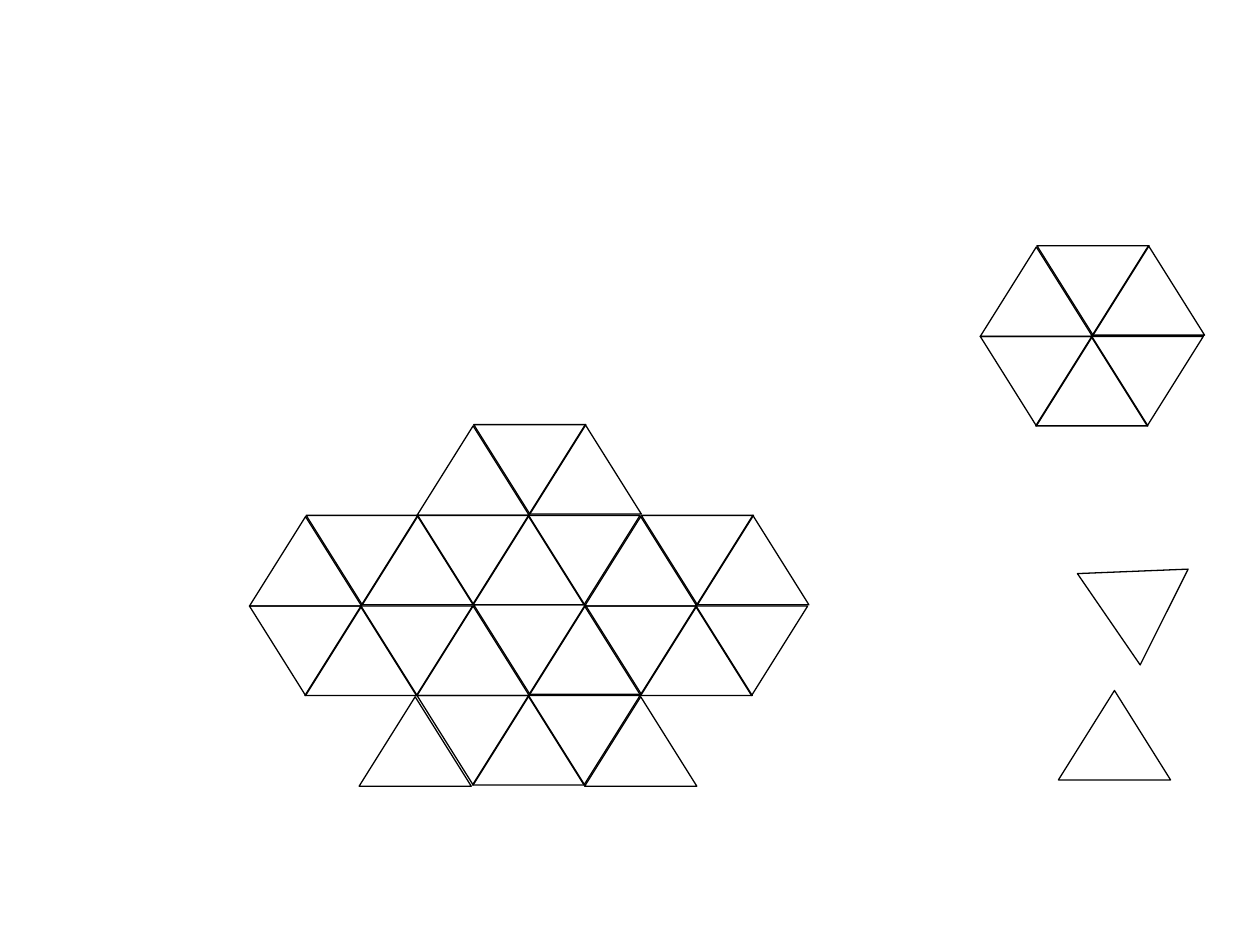
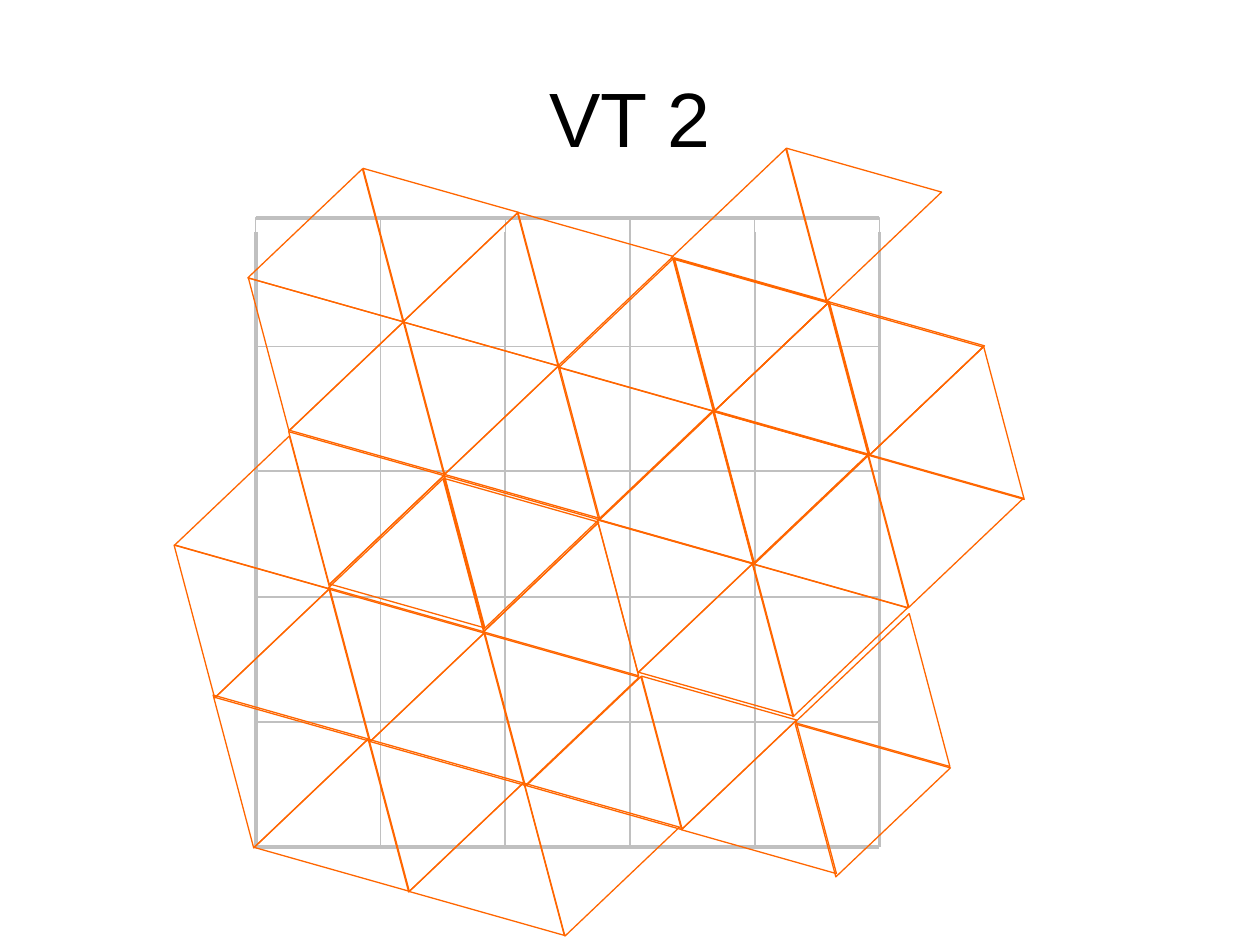
from itertools import pairwise, product

from lxml import etree
from pptx import Presentation
from pptx.dml.color import RGBColor
from pptx.enum import shapes, text
from pptx.oxml import ns
from pptx.util import Pt

# Shared scale and styles
PX = 9144  # 100 px to the inch
BLACK, GREY, ORANGE = "000000", "C0C0C0", "FF6600"
FONT = "Arial"
THIN, MEDIUM, THICK = 0.75, 1, 2.25
FLIP = 180

# Slide 1: hexagons of six triangles (x, y, rotation within a hexagon)
TILE = (89, 71)
HEXAGON = [(45, 0, FLIP), (0, 1, 0), (89, 0, 0),
           (44, 72, 0), (88, 72, FLIP), (0, 72, FLIP)]
HEXAGON_CLUSTERS = [
    [(778, 195)],
    [(331, 337), (331, 480), (198, 409)],
    [(464, 409)],
]
LOOSE_TILES = [(840, 548), (285, 553), (464, 553)]

# Slide 2: grid edges and tilted strips (x, y, first tile flipped, tiles)
COLUMN_EDGES = [203 + 99 * column for column in range(6)]
ROW_EDGES = [173, 275, 374, 474, 573, 672]
OPEN_CELL = (2, 2)
VERTICAL_TOP = 184
TILTED_TILE = (128, 108)
TILT = 15.8
STRIP_STEP = (61.7, 17.4)
STRIPS = [
    (545, 116, False, 2),
    (209, 132, False, 4), (456, 203, False, 4), (517, 221, True, 4),
    (180, 236, True, 4), (426, 307, True, 3), (487, 324, False, 4),
    (151, 344, False, 1), (212, 358, True, 3), (273, 378, False, 3),
    (457, 428, True, 3), (643, 485, False, 1),
    (121, 448, True, 2), (244, 483, True, 3), (430, 535, False, 3),
    (614, 590, True, 1),
    (152, 567, True, 5),
]


def px(length):
    return round(length) * PX


def color(hex_code):
    return RGBColor.from_string(hex_code)


def add_outline(parent, kind, place, hex_code, rotation=0):
    """Add an unfilled preset shape at place = (x, y, width, height)."""
    outline = parent.shapes.add_shape(kind, *map(px, place))
    outline.shadow.inherit = False
    outline.fill.background()
    outline.line.color.rgb = color(hex_code)
    outline.line.width = Pt(THIN)
    outline.rotation = rotation


def add_triangle(parent, x, y, size, hex_code, rotation=0):
    add_outline(parent, shapes.MSO_SHAPE.ISOSCELES_TRIANGLE,
                (x, y, *size), hex_code, rotation)


def add_hexagon(parent, left, top):
    for x, y, rotation in HEXAGON:
        add_triangle(parent, left + x, top + y, TILE, BLACK, rotation)


def add_strip(slide, left, top, flipped, tiles):
    """Add a tilted row of triangles pointing up and down in turn."""
    step_x, step_y = STRIP_STEP
    for i in range(tiles):
        turn = FLIP if (i + flipped) % 2 else 0
        add_triangle(slide, left + i * step_x, top + i * step_y,
                     TILTED_TILE, ORANGE, TILT + turn)


def add_rule(parent, start, end, width):
    rule = parent.shapes.add_connector(
        shapes.MSO_CONNECTOR.STRAIGHT, *map(px, start + end))
    rule.line.color.rgb = color(GREY)
    rule.line.width = Pt(width)
    etree.SubElement(rule._element.spPr, ns.qn("a:effectLst"))


def add_grid(slide):
    grid = slide.shapes.add_group_shape()
    rows, columns = pairwise(ROW_EDGES), pairwise(COLUMN_EDGES)
    for (r, (top, bottom)), (c, (left, right)) in product(
            enumerate(rows), enumerate(columns)):
        if (r, c) != OPEN_CELL:
            add_outline(grid, shapes.MSO_SHAPE.RECTANGLE,
                        (left, top, right - left, bottom - top), GREY)

    # Rules over the cell edges, heavier around the outside
    left, right = COLUMN_EDGES[0], COLUMN_EDGES[-1]
    top, bottom = ROW_EDGES[0], ROW_EDGES[-1]
    for y in ROW_EDGES:
        add_rule(grid, (left, y), (right, y),
                 THICK if y in (top, bottom) else MEDIUM)
    for x in COLUMN_EDGES:
        add_rule(grid, (x, VERTICAL_TOP), (x, bottom),
                 THICK if x in (left, right) else MEDIUM)


def add_title(slide, wording):
    title = slide.shapes.add_textbox(*map(px, (50, 30, 900, 125))).text_frame
    title.word_wrap = True
    title.vertical_anchor = text.MSO_ANCHOR.MIDDLE
    line = title.paragraphs[0]
    line.alignment = text.PP_ALIGN.CENTER
    run = line.add_run()
    run.text = wording
    run.font.name = FONT
    run.font.size = Pt(44)
    run.font.color.rgb = color(BLACK)


def build_hexagons(slide):
    # Loose triangles
    add_triangle(slide, 847, 434, (85, 77), BLACK, 296.6)
    for x, y in LOOSE_TILES:
        add_triangle(slide, x, y, TILE, BLACK)
    # Joined hexagons
    for origins in HEXAGON_CLUSTERS:
        cluster = slide.shapes.add_group_shape()
        for left, top in origins:
            add_hexagon(cluster, left, top)


def build_tilted_tiling(slide):
    add_grid(slide)
    add_title(slide, "VT 2")
    for strip in STRIPS:
        add_strip(slide, *strip)


def main():
    deck = Presentation()
    deck.slide_width, deck.slide_height = px(1000), px(750)
    blank = deck.slide_layouts[6]
    for build in (build_hexagons, build_tilted_tiling):
        build(deck.slides.add_slide(blank))
    deck.save("out.pptx")


if __name__ == "__main__":
    main()
